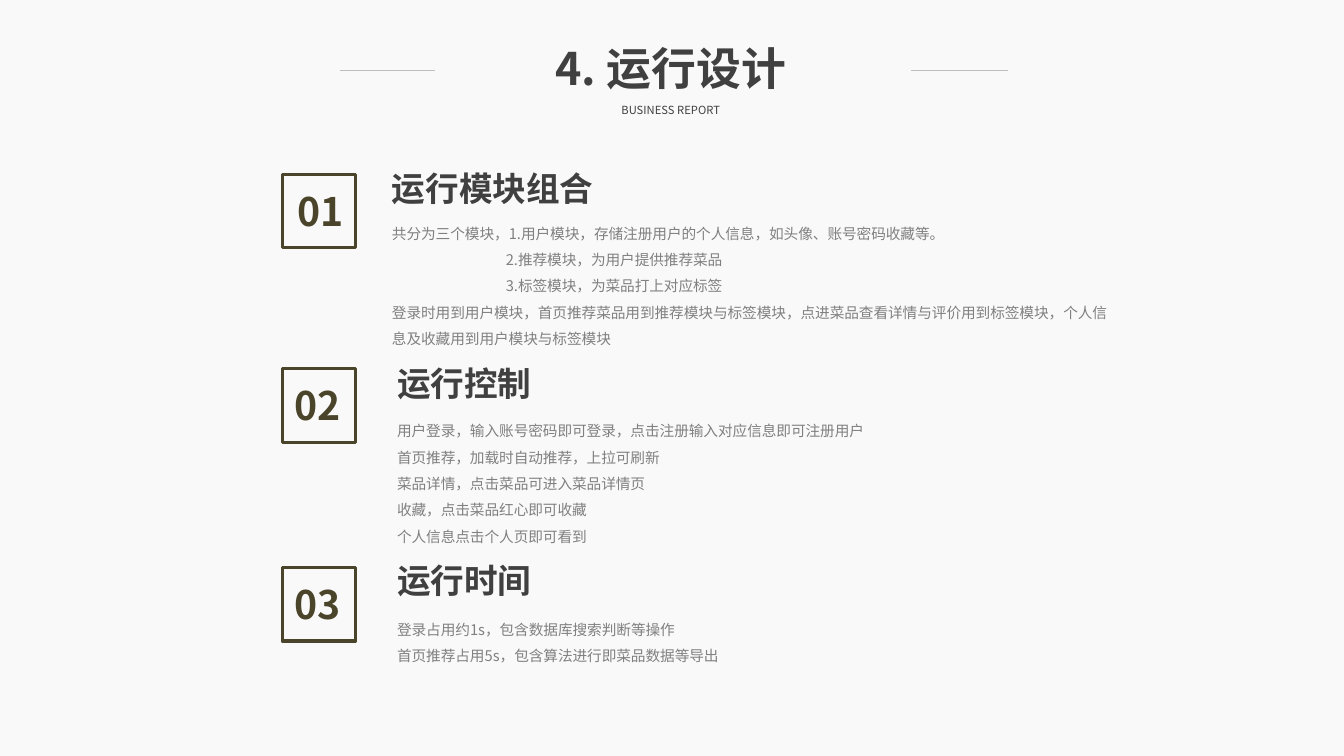
from lxml.etree import SubElement
from pptx import Presentation
from pptx.dml.color import RGBColor
from pptx.enum.shapes import MSO_CONNECTOR, MSO_SHAPE
from pptx.enum.text import MSO_ANCHOR, MSO_AUTO_SIZE, PP_ALIGN
from pptx.oxml.ns import qn
from pptx.util import Inches, Pt

FONT = "Noto Sans CJK SC"
CELL = Inches(0.1)
COLS, ROWS = 133.33, 75
LIST_INDENT = 11.3

STYLES = {
    "title": {"size": Pt(32), "bold": True, "color": "404040"},
    "subtitle": {"size": Pt(8), "bold": False, "color": "404040"},
    "heading": {"size": Pt(24), "bold": True, "color": "404040"},
    "body": {"size": Pt(10.5), "bold": False, "color": "808080"},
    "number": {"size": Pt(28), "bold": True, "color": "4A452A"},
}

# Each body line is (indent in columns, text).
SECTIONS = [
    {"row": 17.3, "number_col": 28.5, "text_col": 37.9, "width": 73.2,
     "heading_row": 16.2, "heading_width": 22.2, "body_row": 20.9, "body_height": 14,
     "heading": "运行模块组合",
     "body": [
         (0, "共分为三个模块，1.用户模块，存储注册用户的个人信息，如头像、账号密码收藏等。"),
         (LIST_INDENT, "2.推荐模块，为用户提供推荐菜品"),
         (LIST_INDENT, "3.标签模块，为菜品打上对应标签"),
         (0, "登录时用到用户模块，首页推荐菜品用到推荐模块与标签模块，"
             "点进菜品查看详情与评价用到标签模块，个人信息及收藏用到用户模块与标签模块"),
     ]},
    {"row": 36.6, "number_col": 28.2, "text_col": 38.4, "width": 69.8,
     "heading_row": 35.5, "heading_width": 15.5, "body_row": 40.5, "body_height": 14,
     "heading": "运行控制",
     "body": [
         (0, "用户登录，输入账号密码即可登录，点击注册输入对应信息即可注册用户"),
         (0, "首页推荐，加载时自动推荐，上拉可刷新"),
         (0, "菜品详情，点击菜品可进入菜品详情页"),
         (0, "收藏，点击菜品红心即可收藏"),
         (0, "个人信息点击个人页即可看到"),
     ]},
    {"row": 56.3, "number_col": 28.2, "text_col": 38.4, "width": 69.8,
     "heading_row": 55.1, "heading_width": 15.5, "body_row": 60.2, "body_height": 6,
     "heading": "运行时间",
     "body": [
         (0, "登录占用约1s，包含数据库搜索判断等操作"),
         (0, "首页推荐占用5s，包含算法进行即菜品数据等导出"),
     ]},
]


def grid(*cells):
    """Turn grid columns or rows into slide lengths."""
    return [round(n * CELL) for n in cells]


def rgb(value):
    return RGBColor.from_string(value)


def assign(obj, values):
    """Set each named attribute of an object."""
    for name, value in values.items():
        setattr(obj, name, value)


class SlideBuilder:
    """Holds the text styles and the slide being built."""

    def __init__(self, slide, styles):
        self.s = slide
        self.styles = styles

    def background(self, color):
        fill = self.s.background.fill
        fill.solid()
        fill.fore_color.rgb = rgb(color)

    def fill_text(self, tf, lines, style, spacing=None, align=PP_ALIGN.LEFT, **frame):
        """Fill a text frame with (indent, text) lines in a named style."""
        assign(tf, {"word_wrap": True, "vertical_anchor": MSO_ANCHOR.TOP,
                    "auto_size": MSO_AUTO_SIZE.SHAPE_TO_FIT_TEXT, **frame})
        for i, (indent, text) in enumerate(lines):
            p = tf.add_paragraph() if i else tf.paragraphs[0]
            p.alignment, p.line_spacing = align, spacing
            if indent:
                p._p.get_or_add_pPr().set("marL", str(grid(indent)[0]))
            r = p.add_run()
            r.text = text
            self.style_run(r, style)

    def style_run(self, r, style):
        values = dict(self.styles[style])
        r.font.color.rgb = rgb(values.pop("color"))
        assign(r.font, {"name": FONT, **values})
        SubElement(r._r.get_or_add_rPr(), qn("a:ea"), typeface=FONT)

    def title(self, box, text):
        sp = self.s.shapes.title
        assign(sp, dict(zip(("left", "top", "width", "height"), grid(*box))))
        self.fill_text(sp.text_frame, [(0, text)], "title", align=PP_ALIGN.CENTER)

    def text(self, box, lines, style, **options):
        sp = self.s.shapes.add_textbox(*grid(*box))
        self.fill_text(sp.text_frame, lines, style, **options)

    def square(self, col, row, size, color):
        sp = self.s.shapes.add_shape(MSO_SHAPE.RECTANGLE, *grid(col, row, size, size))
        sp.shadow.inherit = False
        sp.fill.background()
        sp.line.color.rgb = rgb(color)
        sp.line.width = Pt(2.25)

    def rule(self, start, end, row, color):
        line = self.s.shapes.add_connector(
            MSO_CONNECTOR.STRAIGHT, *grid(start, row, end, row))
        line.line.color.rgb = rgb(color)
        line.line.width = Pt(0.75)
        SubElement(line._element.spPr, qn("a:effectLst"))

    def section(self, index, sec):
        """Draw one numbered square with its heading and body text."""
        self.text((sec["number_col"], sec["row"] + 1.8, 7.5, 4.4), [(0, f"{index:02}")],
                  "number", spacing=0.9, auto_size=MSO_AUTO_SIZE.NONE,
                  margin_top=0, margin_bottom=0)
        self.square(28, sec["row"], 7.3, "4A452A")
        self.text((sec["text_col"], sec["heading_row"], sec["heading_width"], 5),
                  [(0, sec["heading"])], "heading", word_wrap=False)
        self.text((sec["text_col"], sec["body_row"], sec["width"], sec["body_height"]),
                  sec["body"], "body", spacing=1.5)


def main():
    prs = Presentation()
    prs.slide_width, prs.slide_height = grid(COLS, ROWS)
    builder = SlideBuilder(prs.slides.add_slide(prs.slide_layouts[5]), STYLES)
    builder.background("FAF9F9")
    builder.title((46, 3.5, 41.1, 6.4), "4. 运行设计")
    builder.text((58.6, 9.8, 15.9, 2.4), [(0, "BUSINESS REPORT")], "subtitle",
                 align=PP_ALIGN.CENTER)
    for start, end in ((33.7, 43.2), (90.4, 100)):
        builder.rule(start, end, 7, "BFBFBF")
    for index, sec in enumerate(SECTIONS, 1):
        builder.section(index, sec)
    prs.save("out.pptx")


if __name__ == "__main__":
    main()
